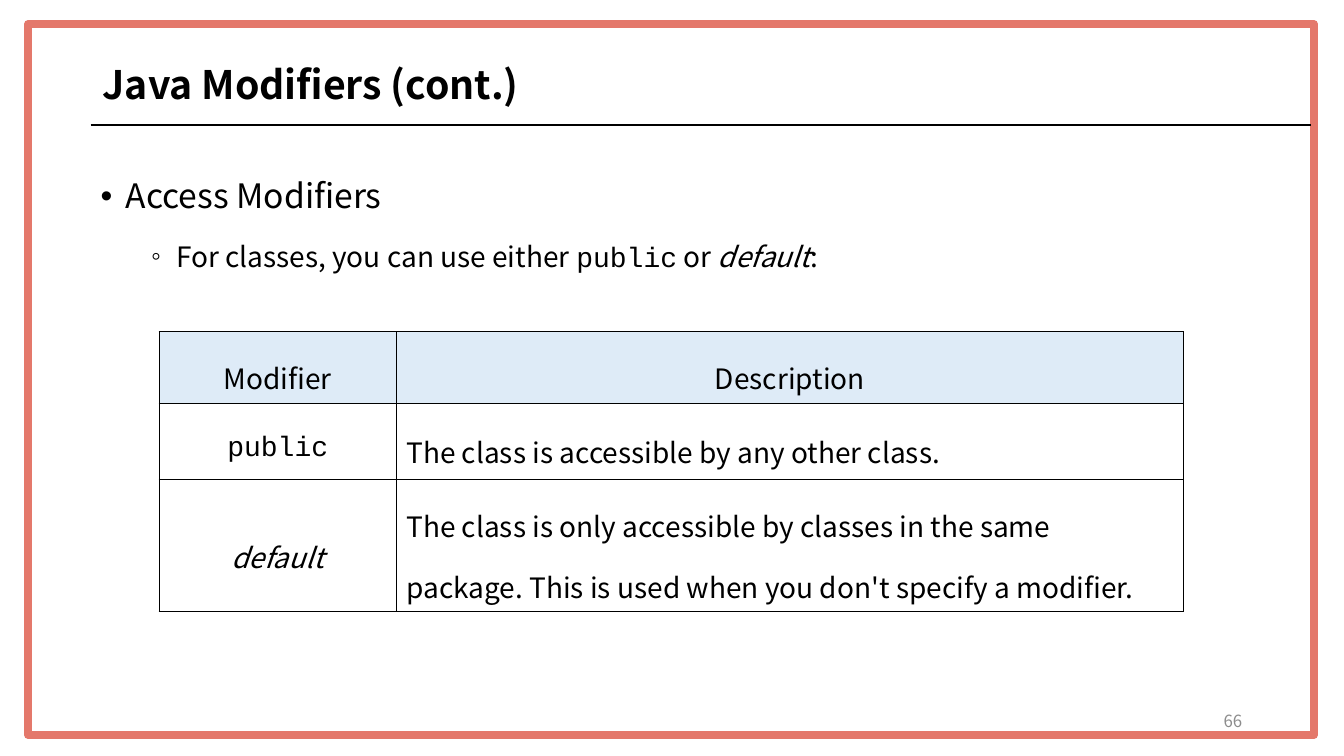
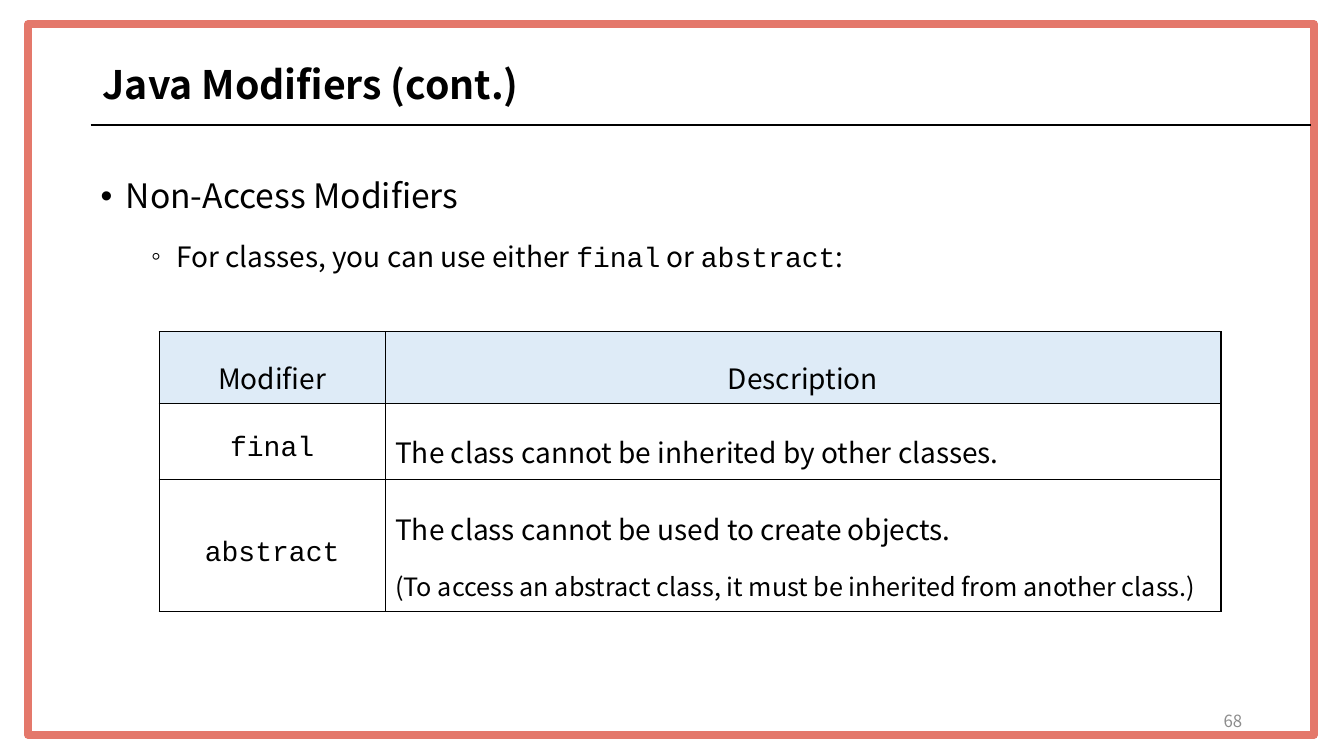
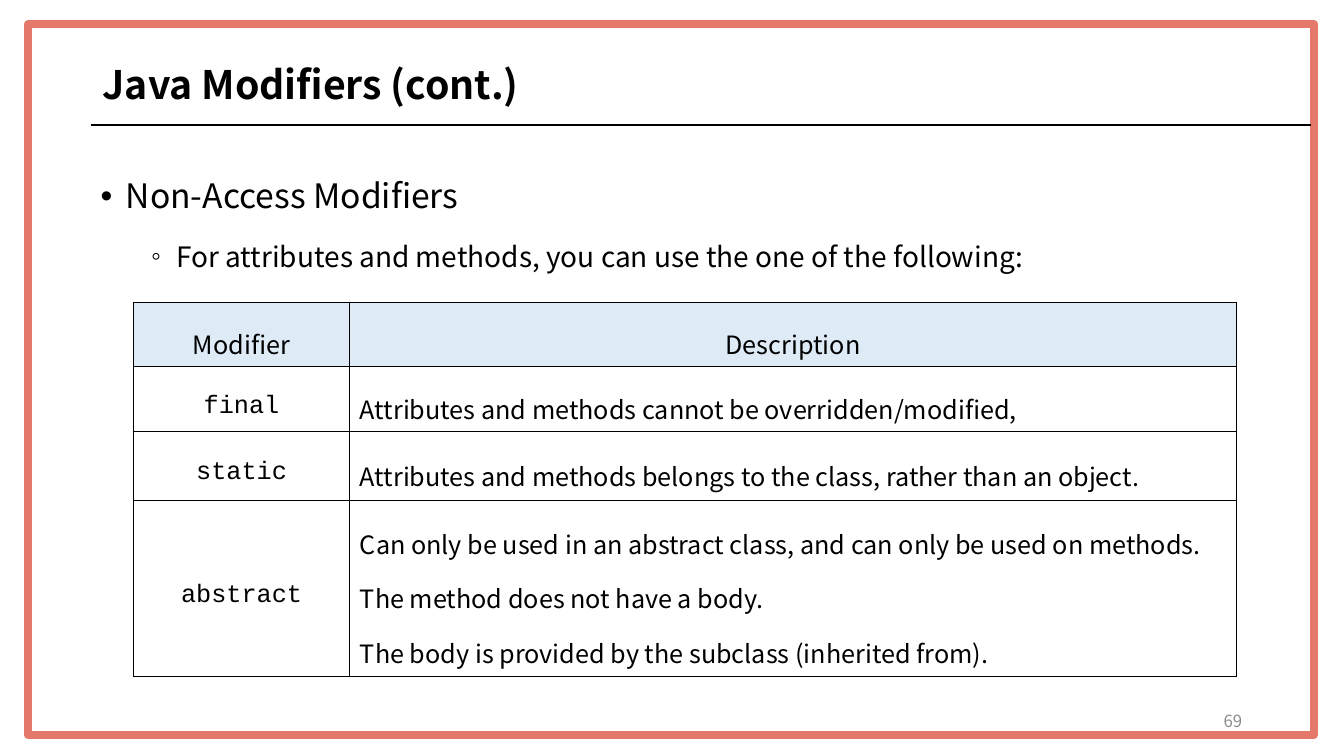
import pptx
import pptx.util
import pptx.dml.color
import pptx.enum.shapes
import pptx.enum.text
import pptx.oxml
import pptx.oxml.ns
from lxml import etree

Inches, Pt = pptx.util.Inches, pptx.util.Pt
ALIGN = pptx.enum.text.PP_ALIGN
ANCHOR = pptx.enum.text.MSO_ANCHOR
qn = pptx.oxml.ns.qn

# Shared style
SANS, MONO = "Noto Sans CJK KR", "Courier New"
BLACK, WHITE, CORAL, GREY, PALE_BLUE = "000000", "FFFFFF", "E4786B", "8C8C8C", "DEEBF7"
TITLE = "Java Modifiers (cont.)"


def color(value):
    return pptx.dml.color.RGBColor.from_string(value)


def code(text):
    return text, "code"


def italic(text):
    return text, "italic"


def write(p, parts, size, fill=BLACK, bold=False):
    """Fill a paragraph with plain strings and (text, style) pairs."""
    for part in [parts] if isinstance(parts, (str, tuple)) else parts:
        text, style = (part, "") if isinstance(part, str) else part
        r = p.add_run()
        r.text = text
        r.font.name = MONO if style == "code" else SANS
        r.font.size = Pt(size)
        r.font.bold = bold
        r.font.italic = style == "italic"
        r.font.color.rgb = color(fill)


def add_text_frame(s, box, anchor):
    tf = s.shapes.add_textbox(*map(Inches, box)).text_frame
    tf.word_wrap = True
    tf.vertical_anchor = anchor
    return tf


def add_bullet(p, char, left):
    pPr = p._p.get_or_add_pPr()
    pPr.set("marL", str(Inches(left)))
    pPr.set("indent", str(Inches(-0.25)))
    etree.SubElement(pPr, qn("a:buFont")).set("typeface", "Arial")
    etree.SubElement(pPr, qn("a:buChar")).set("char", char)


def add_base(s, number):
    # Frame
    sp = s.shapes.add_shape(pptx.enum.shapes.MSO_SHAPE.RECTANGLE,
                            *map(Inches, (0.28, 0.24, 12.75, 7.05)))
    sp.shadow.inherit = False
    sp.fill.solid()
    sp.fill.fore_color.rgb = color(WHITE)
    sp.line.color.rgb = color(CORAL)
    sp.line.width = Pt(6)

    # Rule under the title
    rule = s.shapes.add_connector(pptx.enum.shapes.MSO_CONNECTOR.STRAIGHT,
                                  *map(Inches, (0.9, 1.24, 13, 1.24)))
    rule.line.color.rgb = color(BLACK)
    rule.line.width = Pt(1.75)
    etree.SubElement(rule._element.spPr, qn("a:effectLst"))

    # Page number
    p = add_text_frame(s, (9.42, 6.95, 3, 0.4), ANCHOR.MIDDLE).paragraphs[0]
    p.alignment = ALIGN.RIGHT
    write(p, str(number), 12, GREY)

    # Title
    p = add_text_frame(s, (0.92, 0.51, 8.23, 0.7), ANCHOR.MIDDLE).paragraphs[0]
    p.line_spacing = 0.9
    write(p, TITLE, 28, bold=True)


def add_outline(s, box, heading, detail):
    tf = add_text_frame(s, box, ANCHOR.TOP)
    p = tf.paragraphs[0]
    add_bullet(p, "•", 0.25)
    p.line_spacing = 1.5
    write(p, heading, 24)

    p = tf.add_paragraph()
    p.level = 1
    add_bullet(p, "◦", 0.75)
    p.line_spacing = 1.5
    p.space_before = Pt(5)
    write(p, detail, 20)


def add_borders(cell):
    tcPr = cell._tc.get_or_add_tcPr()
    for side in ("lnL", "lnR", "lnT", "lnB"):
        ln = etree.SubElement(tcPr, qn("a:" + side), w=str(Pt(1)))
        fill = etree.SubElement(ln, qn("a:solidFill"))
        etree.SubElement(fill, qn("a:srgbClr"), val=BLACK)


def fill_cell(cell, lines, size, header, centred):
    add_borders(cell)
    if header:
        cell.fill.solid()
        cell.fill.fore_color.rgb = color(PALE_BLUE)
    else:
        cell.fill.background()
    cell.vertical_anchor = ANCHOR.MIDDLE
    tf = cell.text_frame
    for i, (parts, line_size) in enumerate(lines):
        p = tf.add_paragraph() if i else tf.paragraphs[0]
        p.line_spacing = 1.5
        p.alignment = ALIGN.CENTER if centred else ALIGN.LEFT
        write(p, parts, line_size or size)


def add_modifier_table(s, left, top, widths, heights, size, entries):
    """Each entry is a modifier and its lines, given as (text, size or None)."""
    rows = [("Modifier", [("Description", None)])] + entries
    table = s.shapes.add_table(len(rows), 2, Inches(left), Inches(top),
                               Inches(sum(widths)), Inches(sum(heights))).table
    table.first_row = table.horz_banding = False
    for column, width in zip(table.columns, widths):
        column.width = Inches(width)
    for i, (modifier, lines) in enumerate(rows):
        table.rows[i].height = Inches(heights[i])
        fill_cell(table.cell(i, 0), [(modifier, None)], size, i == 0, True)
        fill_cell(table.cell(i, 1), lines, size, i == 0, i == 0)


def add_modifier_slide(prs, number, heading, detail, table):
    s = prs.slides.add_slide(prs.slide_layouts[6])
    add_base(s, number)
    add_outline(s, (0.9, 1.49, 11.77, 5.57), heading, detail)
    add_modifier_table(s, **table)


def main():
    prs = pptx.Presentation()
    prs.slide_width, prs.slide_height = Inches(13.33), Inches(7.5)

    # Access modifiers for classes
    add_modifier_slide(
        prs, 66, "Access Modifiers",
        ["For classes, you can use either ", code("public"), " or ", italic("default"), ":"],
        dict(left=1.58, top=3.29, widths=(2.35, 7.81), heights=(0.71, 0.76, 1.31), size=20, entries=[
            (code("public"), [("The class is accessible by any other class.", None)]),
            (italic("default"), [("The class is only accessible by classes in the same package. "
                                  "This is used when you don't specify a modifier.", None)]),
        ]))

    # Non-access modifiers for classes
    add_modifier_slide(
        prs, 68, "Non-Access Modifiers",
        ["For classes, you can use either ", code("final"), " or ", code("abstract"), ":"],
        dict(left=1.58, top=3.29, widths=(2.24, 8.29), heights=(0.71, 0.76, 1.31), size=20, entries=[
            (code("final"), [("The class cannot be inherited by other classes.", None)]),
            (code("abstract"), [
                ("The class cannot be used to create objects.", None),
                ("(To access an abstract class, it must be inherited from another class.)", 18)]),
        ]))

    # Non-access modifiers for attributes and methods
    add_modifier_slide(
        prs, 69, "Non-Access Modifiers",
        "For attributes and methods, you can use the one of the following:",
        dict(left=1.32, top=3, widths=(2.15, 8.79), heights=(0.64, 0.64, 0.69, 1.74), size=18, entries=[
            (code("final"), [("Attributes and methods cannot be overridden/modified,", None)]),
            (code("static"), [("Attributes and methods belongs to the class, rather than an object.", None)]),
            (code("abstract"), [
                ("Can only be used in an abstract class, and can only be used on methods. "
                 "The method does not have a body.", None),
                ("The body is provided by the subclass (inherited from).", None)]),
        ]))

    prs.save("out.pptx")


if __name__ == "__main__":
    main()
